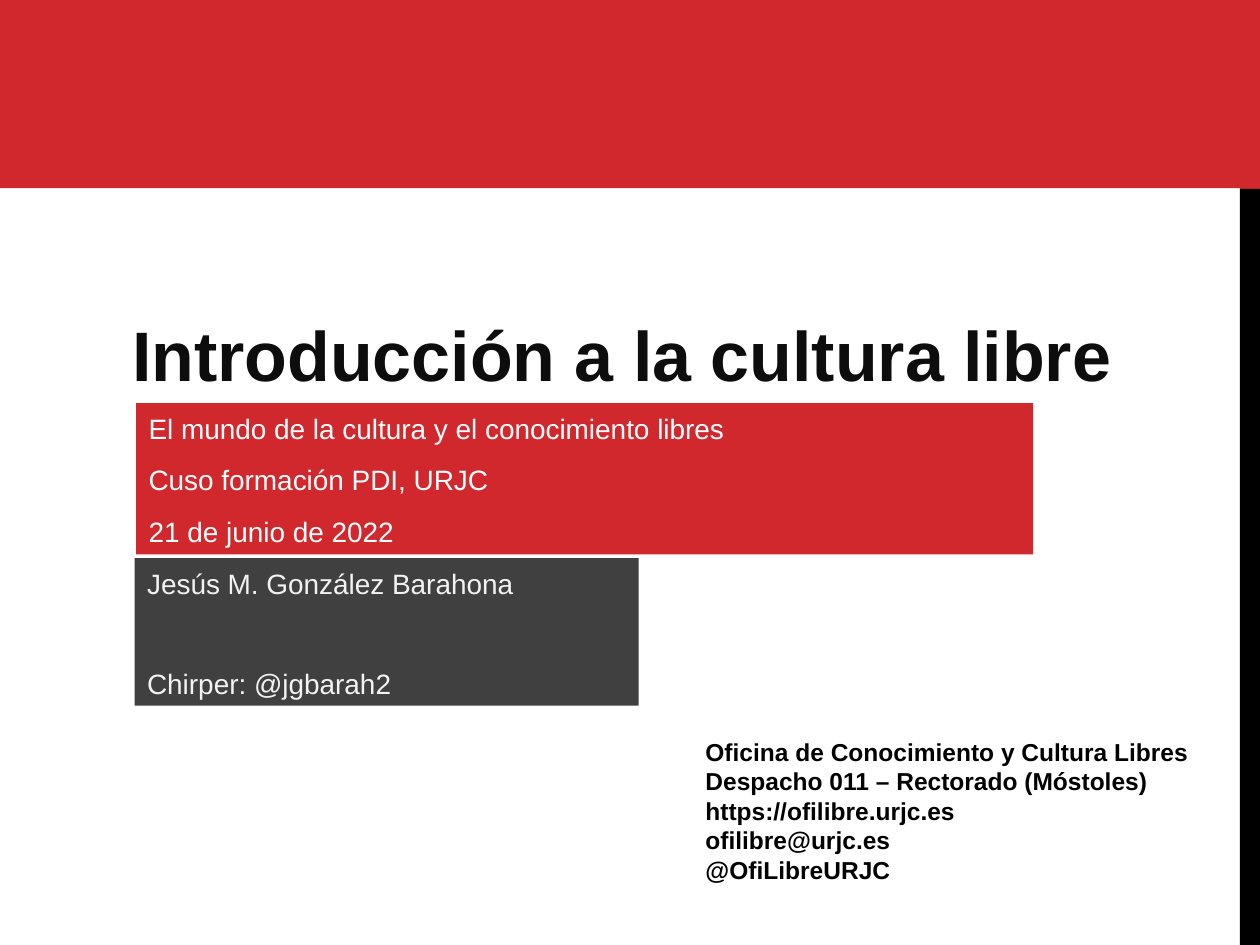
from pptx import Presentation
from pptx.dml.color import RGBColor
from pptx.enum.shapes import MSO_SHAPE
from pptx.enum.text import MSO_ANCHOR, PP_ALIGN
from pptx.util import Pt

RECTANGLE = MSO_SHAPE.RECTANGLE
TOP, BOTTOM = MSO_ANCHOR.TOP, MSO_ANCHOR.BOTTOM
LEFT = PP_ALIGN.LEFT

RED = RGBColor(0xD1, 0x28, 0x2E)
BLACK = RGBColor(0, 0, 0)
INK = RGBColor(0x0D, 0x0D, 0x0D)
CHARCOAL = RGBColor(0x40, 0x40, 0x40)
PALE = RGBColor(0xF2, 0xF2, 0xF2)
WHITE = RGBColor(0xFF, 0xFF, 0xFF)

PAGE_WIDTH, PAGE_HEIGHT = 720, 540
BANNER_HEIGHT = 107.5
STRIP_WIDTH = 11.5
STRIP_TOP = 108


def add_panel(page, box, color):
    panel = page.shapes.add_shape(RECTANGLE, *map(Pt, box))
    panel.shadow.inherit = False
    panel.fill.solid()
    panel.fill.fore_color.rgb = color
    panel.line.fill.background()
    return panel


def write_lines(shape, lines, size, color, bold=False, gap=0, inset=(7.2, 3.6), anchor=TOP):
    frame = shape.text_frame
    frame.word_wrap = True
    frame.vertical_anchor = anchor
    side, edge = map(Pt, inset)
    frame.margin_left = frame.margin_right = side
    frame.margin_top = frame.margin_bottom = edge
    for index, line in enumerate(lines):
        para = frame.paragraphs[0] if index == 0 else frame.add_paragraph()
        para.text = line
        para.alignment = LEFT
        if index and gap:
            para.space_before = Pt(gap)
        para.font.name = "Arial"
        para.font.size = Pt(size)
        para.font.bold = bold
        para.font.color.rgb = color


def add_frame(page, box):
    left, top, width, height = box
    strip_left = left + width - STRIP_WIDTH
    add_panel(page, (strip_left, top, STRIP_WIDTH, STRIP_TOP), RED)
    add_panel(page, (strip_left, top + STRIP_TOP, STRIP_WIDTH, height - STRIP_TOP), BLACK)
    add_panel(page, (left, top, width, BANNER_HEIGHT), RED)


def add_title(page, box):
    title = page.shapes.add_textbox(*map(Pt, box))
    write_lines(title, ["Introducción a la cultura libre"], 40, INK, bold=True,
                inset=(3.6, 38.8), anchor=BOTTOM)


def add_event(page, box):
    lines = ["El mundo de la cultura y el conocimiento libres",
             "Cuso formación PDI, URJC", "21 de junio de 2022"]
    write_lines(add_panel(page, box, RED), lines, 16, WHITE, gap=10, inset=(7.2, 5))


def add_author(page, box):
    lines = ["Jesús M. González Barahona", "Chirper: @jgbarah2"]
    write_lines(add_panel(page, box, CHARCOAL), lines, 16, PALE, gap=38, inset=(7.2, 4.5))


def add_contact(page, box):
    lines = ["Oficina de Conocimiento y Cultura Libres",
             "Despacho 011 – Rectorado (Móstoles)",
             "https://ofilibre.urjc.es", "ofilibre@urjc.es", "@OfiLibreURJC"]
    contact = page.shapes.add_textbox(*map(Pt, box))
    write_lines(contact, lines, 14, BLACK, bold=True)


def main():
    deck = Presentation()
    deck.slide_width, deck.slide_height = Pt(PAGE_WIDTH), Pt(PAGE_HEIGHT)
    page = deck.slides.add_slide(deck.slide_layouts[6])
    add_frame(page, (0, 0, PAGE_WIDTH, PAGE_HEIGHT))
    add_contact(page, (396, 417.6, 298, 92.9))
    add_author(page, (77, 319, 288, 84.2))
    add_title(page, (72, 86.4, 591, 163.4))
    add_event(page, (77.8, 230.4, 512.6, 86.4))
    deck.save("out.pptx")


if __name__ == "__main__":
    main()
